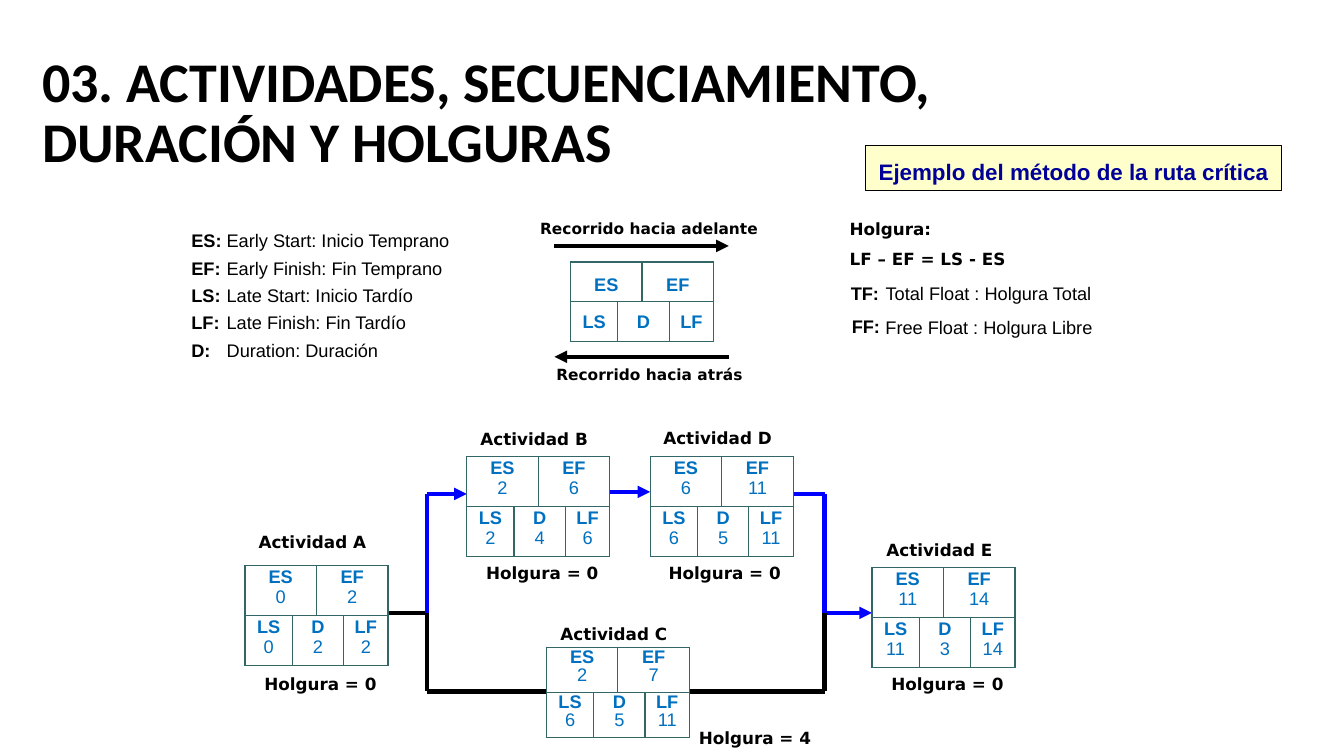
from dataclasses import dataclass, replace
from typing import NamedTuple

from lxml.etree import SubElement
from pptx import Presentation
from pptx.dml.color import RGBColor
from pptx.enum.shapes import MSO_CONNECTOR as Connector, MSO_SHAPE as Shape
from pptx.enum.text import MSO_ANCHOR as Anchor, PP_ALIGN as Align
from pptx.oxml import parse_xml
from pptx.oxml.ns import nsdecls, qn
from pptx.util import Emu, Inches, Pt

UNIT = Inches(0.1)
PAGE_COLUMNS, PAGE_ROWS = 133.33, 75
BLACK, WHITE, BLUE, TEAL = "000000", "FFFFFF", "0000FF", "336666"


class Span(NamedTuple):
    text: str
    bold: bool = True


class Area(NamedTuple):
    left: float
    top: float
    width: float
    height: float


class Link(NamedTuple):
    start: tuple[float, float]
    end: tuple[float, float]
    color: str = BLACK
    arrow: bool = False


class Note(NamedTuple):
    area: Area
    lines: list[list[Span]]
    style: "Style"


@dataclass(frozen=True)
class Style:
    font: str = "DejaVu Sans"
    size: float = 12
    color: str = BLACK
    align: Align = Align.LEFT
    spacing: float = 1.0
    before: float = 7
    anchor: Anchor = Anchor.TOP
    wrap: bool = True
    inset: tuple[float, float] = (1, 0.5)
    tab: float = 0


@dataclass(frozen=True)
class Activity:
    name: str
    left: float
    top: float
    label_rise: float
    values: tuple[int, ...]
    slack: int = 0
    slack_shift: tuple[float, float] = (0.8, 10)
    height: float = 9.9
    spacing: float = 0.8


LABEL = Style(align=Align.CENTER)
FORMULA = Style()
ROUTE = Style(size=11)
GLOSSARY = Style("Arial", 13, spacing=0.8, tab=3.5)
FLOAT = Style("Arial", 13, align=Align.CENTER, wrap=False, inset=(0, 0))
BANNER = Style("Arial", 16, "000099", Align.CENTER, 1.3, wrap=False)
TITLE = Style("Calibri", 40, spacing=0.9, anchor=Anchor.MIDDLE)
CELL = Style("Arial", 13, "0070C0", Align.CENTER, before=2.6)

CELL_COLUMNS = (4.7, 2.4, 2.7, 4.4)
CELL_SPANS = {"ES": (0, 0, 1), "EF": (0, 2, 3),
              "LS": (1, 0, 0), "D": (1, 1, 2), "LF": (1, 3, 3)}

ACTIVITIES = [
    Activity("A", 24.3, 56.1, 3.8, (0, 2, 0, 2, 2), slack_shift=(0.8, 10.2)),
    Activity("C", 54.2, 64.2, 2.8, (2, 7, 6, 5, 11), 4, (14, 7.5), 9, 0.7),
    Activity("B", 46.3, 45.3, 3.3, (2, 6, 2, 4, 6)),
    Activity("D", 64.5, 45.3, 3.4, (6, 11, 6, 5, 11), slack_shift=(0.7, 10)),
    Activity("E", 86.5, 56.3, 3.2, (11, 14, 11, 3, 14)),
]

FORK, JOIN, TOP_ROW, MIDDLE_ROW, LOW_ROW = 42.4, 81.8, 49, 60.8, 68.6
LINKS = [
    Link((38.5, MIDDLE_ROW), (FORK, MIDDLE_ROW)),
    Link((FORK, MIDDLE_ROW), (FORK, TOP_ROW), BLUE),
    Link((FORK, TOP_ROW), (46.3, TOP_ROW), BLUE, True),
    Link((58.2, 48.8), (64.5, 48.8), BLUE, True),
    Link((77.8, TOP_ROW), (JOIN, TOP_ROW), BLUE),
    Link((JOIN, MIDDLE_ROW), (JOIN, TOP_ROW), BLUE),
    Link((JOIN, MIDDLE_ROW), (86.5, MIDDLE_ROW), BLUE, True),
    Link((FORK, MIDDLE_ROW), (FORK, LOW_ROW)),
    Link((FORK, LOW_ROW), (55, LOW_ROW)),
    Link((68.4, LOW_ROW), (JOIN, LOW_ROW)),
    Link((JOIN, MIDDLE_ROW), (JOIN, LOW_ROW)),
    Link((55, 24.4), (72.3, 24.4), arrow=True),
    Link((72.3, 35.4), (55, 35.4), arrow=True),
]

TERMS = {"ES": "Early Start: Inicio Temprano", "EF": "Early Finish: Fin Temprano",
         "LS": "Late Start: Inicio Tardío", "LF": "Late Finish: Fin Tardío",
         "D": "Duration: Duración"}
NOTES = [
    Note(Area(18, 22.7, 29.9, 14.1),
         [[Span(f"{key}:\t"), Span(term, False)] for key, term in TERMS.items()], GLOSSARY),
    Note(Area(83.3, 21.2, 20.5, 6), [[Span("Holgura:")], [Span("LF – EF = LS - ES")]], FORMULA),
    Note(Area(84.4, 28, 2.8, 2.2), [[Span("TF:")]], FLOAT),
    Note(Area(87.6, 28, 20.9, 2.2), [[Span("Total Float : Holgura Total", False)]], FLOAT),
    Note(Area(84.5, 31.3, 2.8, 2.2), [[Span("FF:")]], FLOAT),
    Note(Area(87.8, 31.4, 20.6, 2.2), [[Span("Free Float : Holgura Libre", False)]], FLOAT),
    Note(Area(52.6, 21.2, 26.8, 2.8), [[Span("Recorrido hacia adelante")]], ROUTE),
    Note(Area(54.2, 35.7, 21.2, 2.8), [[Span("Recorrido hacia atrás")]], ROUTE),
    Note(Area(3.2, 4.1, 99.3, 14.5),
         [[Span("03. ACTIVIDADES, SECUENCIAMIENTO, DURACIÓN Y HOLGURAS")]], TITLE),
]


def grid(*units: float) -> list[Emu]:
    return [Emu(round(unit * UNIT)) for unit in units]


def rgb(color: str) -> RGBColor:
    return RGBColor.from_string(color)


def write(frame, lines: list[list[Span]], style: Style) -> None:
    for index, line in enumerate(lines):
        para = frame.add_paragraph() if index else frame.paragraphs[0]
        para.alignment = style.align
        para.line_spacing = style.spacing
        if index:
            para.space_before = Pt(style.before)
        if style.tab:
            stops = SubElement(para._p.get_or_add_pPr(), qn("a:tabLst"))
            SubElement(stops, qn("a:tab"), pos=str(grid(style.tab)[0]), algn="l")
        for text, bold in line:
            span = para.add_run()
            span.text = text
            span.font.name, span.font.size, span.font.bold = style.font, Pt(style.size), bold
            span.font.color.rgb = rgb(style.color)


def fill_box(box, lines: list[list[Span]], style: Style) -> None:
    frame = box.text_frame
    frame.word_wrap = style.wrap
    frame.vertical_anchor = style.anchor
    side, edge = grid(*style.inset)
    frame.margin_left = frame.margin_right = side
    frame.margin_top = frame.margin_bottom = edge
    write(frame, lines, style)


def add_note(page, note: Note) -> None:
    fill_box(page.shapes.add_textbox(*grid(*note.area)), note.lines, note.style)


def add_banner(page, area: Area, text: str) -> None:
    box = page.shapes.add_shape(Shape.RECTANGLE, *grid(*area))
    box.shadow.inherit = False
    box.fill.solid()
    box.fill.fore_color.rgb = rgb("FFFFCC")
    box.line.color.rgb, box.line.width = rgb(BLACK), Pt(0.75)
    fill_box(box, [[Span(text)]], BANNER)


def add_link(page, link: Link) -> None:
    line = page.shapes.add_connector(Connector.STRAIGHT, *grid(*link.start, *link.end))
    line.line.color.rgb, line.line.width = rgb(link.color), Pt(3)
    if link.arrow:
        SubElement(line.line._get_or_add_ln(), qn("a:tailEnd"), type="triangle")
    SubElement(line._element.spPr, qn("a:effectLst"))


def frame_cell(cell) -> None:
    cell.fill.solid()
    cell.fill.fore_color.rgb = rgb(WHITE)
    for index, side in enumerate("LRTB"):
        cell._tc.get_or_add_tcPr().insert(index, parse_xml(
            f'<a:ln{side} {nsdecls("a")} w="{Pt(1)}"><a:solidFill>'
            f'<a:srgbClr val="{TEAL}"/></a:solidFill></a:ln{side}>'))


def add_node(page, left: float, top: float, height: float, style: Style,
             values: tuple[int, ...] = ()) -> None:
    area = Area(left, top, sum(CELL_COLUMNS), height)
    table = page.shapes.add_table(2, len(CELL_COLUMNS), *grid(*area)).table
    table.first_row = table.horz_banding = False
    for column, width in zip(table.columns, grid(*CELL_COLUMNS)):
        column.width = width
    for row in table.rows:
        row.height = grid(height / 2)[0]
    for cell in table.iter_cells():
        frame_cell(cell)
    for index, (key, (row, first, last)) in enumerate(CELL_SPANS.items()):
        cell = table.cell(row, first)
        if last > first:
            cell.merge(table.cell(row, last))
        cell.vertical_anchor = style.anchor
        if not values and row == 0:
            cell.margin_top = grid(1.1)[0]
        lines = [[Span(key)]] + [[Span(str(value), False)] for value in values[index:index + 1]]
        write(cell.text_frame, lines, style)


def add_activity(page, item: Activity) -> None:
    add_node(page, item.left, item.top, item.height,
             replace(CELL, spacing=item.spacing), item.values)
    shift, drop = item.slack_shift
    for text, left, top in (
            (f"Actividad {item.name}", item.left, item.top - item.label_rise),
            (f"Holgura = {item.slack}", item.left + shift, item.top + drop)):
        add_note(page, Note(Area(left, top, 13.4, 3), [[Span(text)]], LABEL))


def main() -> None:
    deck = Presentation()
    deck.slide_width, deck.slide_height = grid(PAGE_COLUMNS, PAGE_ROWS)
    page = deck.slides.add_slide(deck.slide_layouts[6])
    for link in LINKS:
        add_link(page, link)
    for item in ACTIVITIES:
        add_activity(page, item)
    add_node(page, 56.6, 26, 7.9, replace(CELL, anchor=Anchor.MIDDLE))
    for note in NOTES:
        add_note(page, note)
    add_banner(page, Area(85.9, 14.4, 41.2, 4.5), "Ejemplo del método de la ruta crítica")
    deck.save("out.pptx")


if __name__ == "__main__":
    main()
